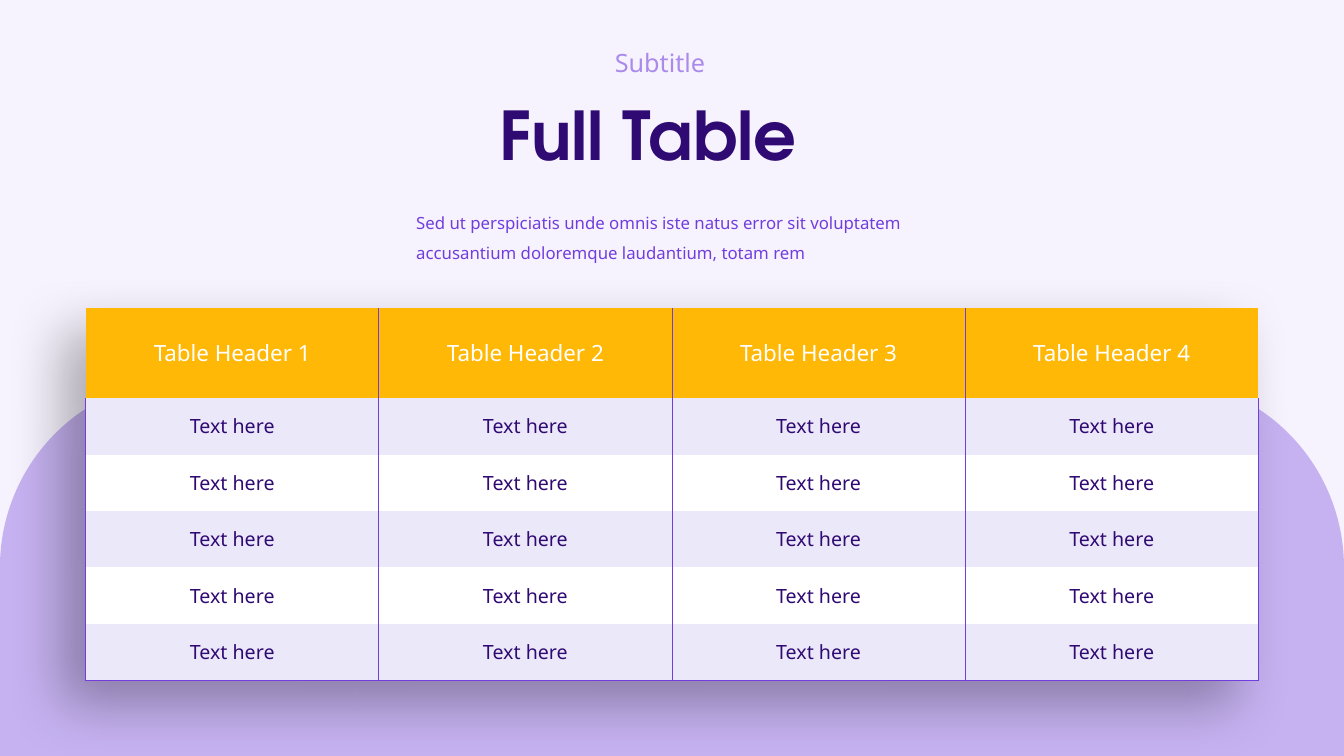
from lxml import etree
from pptx import Presentation
from pptx import util as u
from pptx.dml.color import RGBColor
from pptx.enum import shapes, text
from pptx.oxml import ns, parse_xml

BACKGROUND = RGBColor(0xF7, 0xF3, 0xFE)
LILAC = RGBColor(0xC6, 0xB2, 0xF1)
LAVENDER = RGBColor(0xAA, 0x8B, 0xEB)
PURPLE = RGBColor(0x71, 0x3E, 0xDD)
INDIGO = RGBColor(0x30, 0x0A, 0x73)
AMBER = RGBColor(0xFF, 0xB8, 0x06)
BAND = RGBColor(0xEB, 0xE8, 0xF9)
WHITE = RGBColor(0xFF, 0xFF, 0xFF)
NO_STYLE = "{2D5ABB26-0587-4C30-8999-92F81FD0307C}"
SHADOW = (
    f'<a:effectLst {ns.nsdecls("a")}>'
    '<a:outerShdw blurRad="508000" dist="292100" dir="8100000" algn="tr" rotWithShape="0">'
    '<a:prstClr val="black"><a:alpha val="30000"/></a:prstClr>'
    '</a:outerShdw></a:effectLst>'
)


class TableSlide:
    """Draws styled elements on one slide."""

    heading_font = "TeX Gyre Adventor"
    body_font = "Noto Sans"

    def __init__(self, prs):
        self.s = prs.slides.add_slide(prs.slide_layouts[6])
        fill = self.s.background.fill
        fill.solid()
        fill.fore_color.rgb = BACKGROUND

    def font(self, p, size, color, name=body_font, bold=False):
        p.font.size = u.Pt(size)
        p.font.color.rgb = color
        p.font.name = name
        p.font.bold = bold

    def arch(self, x, y, w, h, color):
        sp = self.s.shapes.add_shape(
            shapes.MSO_SHAPE.ROUND_2_SAME_RECTANGLE, *map(u.Inches, (x, y, w, h)))
        sp.adjustments[0] = 0.5
        sp.shadow.inherit = False
        sp.fill.solid()
        sp.fill.fore_color.rgb = color
        sp.line.fill.background()

    def label(self, x, y, w, h, words, size, color, spacing=None, **style):
        tf = self.s.shapes.add_textbox(*map(u.Inches, (x, y, w, h))).text_frame
        tf.word_wrap = True
        p = tf.paragraphs[0]
        p.text = words
        p.line_spacing = spacing
        self.font(p, size, color, **style)

    def border(self, cell, side, width):
        tc_pr = cell._tc.get_or_add_tcPr()
        ln = etree.SubElement(tc_pr, ns.qn(f"a:ln{side}"), w=str(u.Pt(width)))
        if width:
            fill = etree.SubElement(ln, ns.qn("a:solidFill"))
            etree.SubElement(fill, ns.qn("a:srgbClr"), val=str(PURPLE))
        else:
            etree.SubElement(ln, ns.qn("a:noFill"))

    def cell(self, cell, words, size, color, fill, borders):
        for side, width in borders.items():
            self.border(cell, side, width)
        cell.fill.solid()
        cell.fill.fore_color.rgb = fill
        cell.vertical_anchor = text.MSO_ANCHOR.MIDDLE
        p = cell.text_frame.paragraphs[0]
        p.text = words
        p.alignment = text.PP_ALIGN.CENTER
        self.font(p, size, color)

    def table(self, x, y, w, header_h, row_h, rows):
        last_row, last_col = len(rows) - 1, len(rows[0]) - 1
        h = header_h + row_h * last_row
        table = self.s.shapes.add_table(
            len(rows), len(rows[0]), *map(u.Inches, (x, y, w, h))).table
        tbl_pr = table._tbl.tblPr
        tbl_pr.find(ns.qn("a:tableStyleId")).text = NO_STYLE
        tbl_pr.insert(0, parse_xml(SHADOW))
        for i, row in enumerate(rows):
            header = i == 0
            table.rows[i].height = u.Inches(header_h if header else row_h)
            size, color = (16, WHITE) if header else (14, INDIGO)
            fill = AMBER if header else BAND if i % 2 else WHITE
            outer = 0 if header else 1
            for j, words in enumerate(row):
                borders = {
                    "L": outer if j == 0 else 0.75,
                    "R": outer if j == last_col else 0.75,
                    "T": 0,
                    "B": 1 if i == last_row else 0,
                }
                self.cell(table.cell(i, j), words, size, color, fill, borders)


def main():
    prs = Presentation()
    prs.slide_width, prs.slide_height = u.Inches(13.33), u.Inches(7.5)
    slide = TableSlide(prs)
    slide.arch(0, 3.75, 13.33, 3.75, LILAC)
    slide.label(4.86, 0.88, 3.61, 0.9, "Full Table", 48, INDIGO,
                name=slide.heading_font, bold=True)
    slide.label(6, 0.42, 1.33, 0.26, "Subtitle", 18, LAVENDER)
    slide.label(4.03, 1.96, 5.4, 0.67,
                "Sed ut perspiciatis unde omnis iste natus error sit voluptatem "
                "accusantium doloremque laudantium, totam rem",
                12, PURPLE, spacing=1.5)
    headers = [f"Table Header {n}" for n in range(1, 5)]
    slide.table(0.85, 3.06, 11.63, 0.89, 0.56, [headers] + [["Text here"] * 4] * 5)
    prs.save("out.pptx")


if __name__ == "__main__":
    main()
